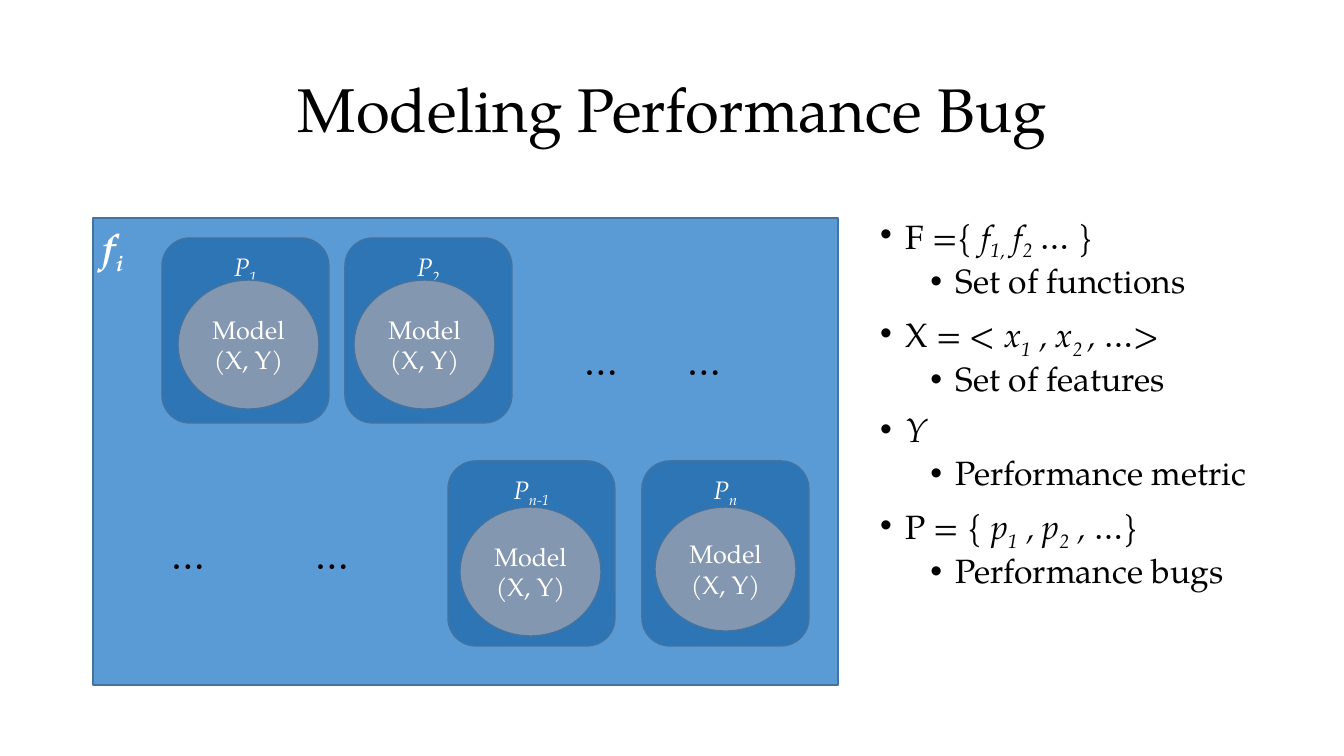
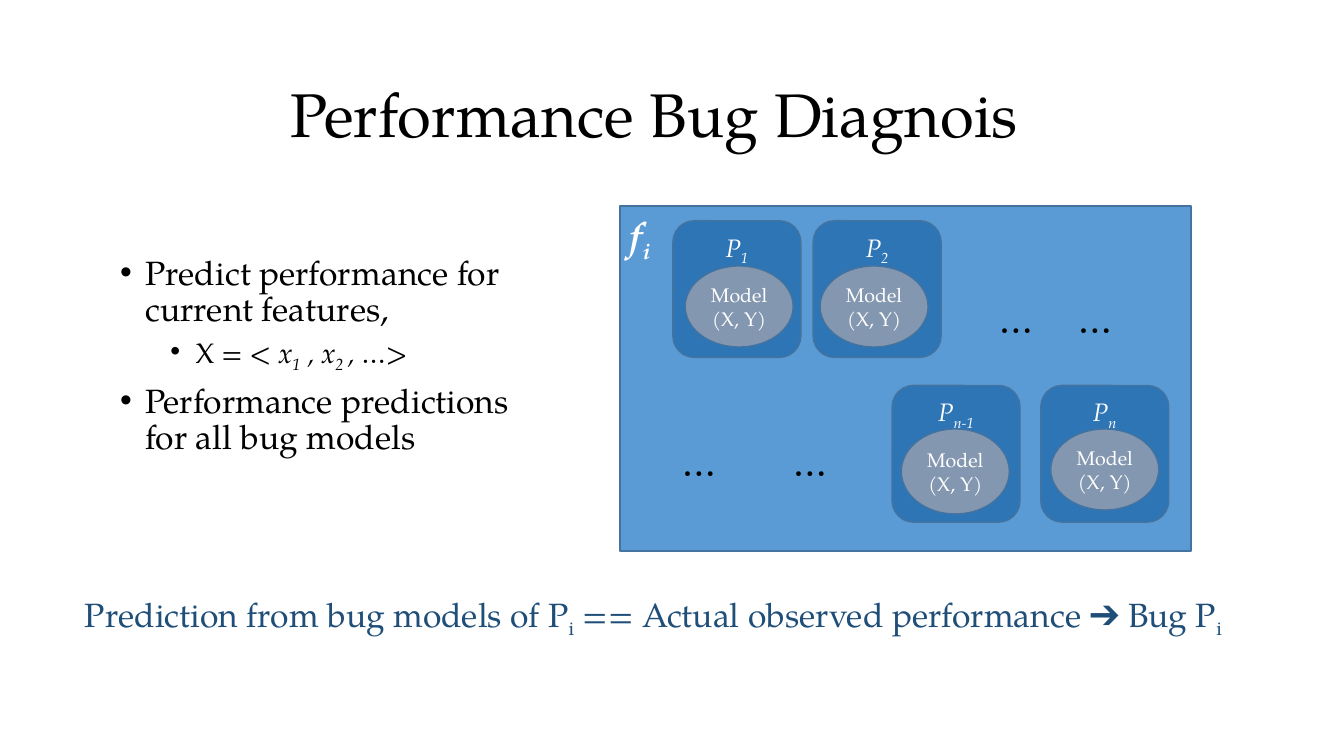
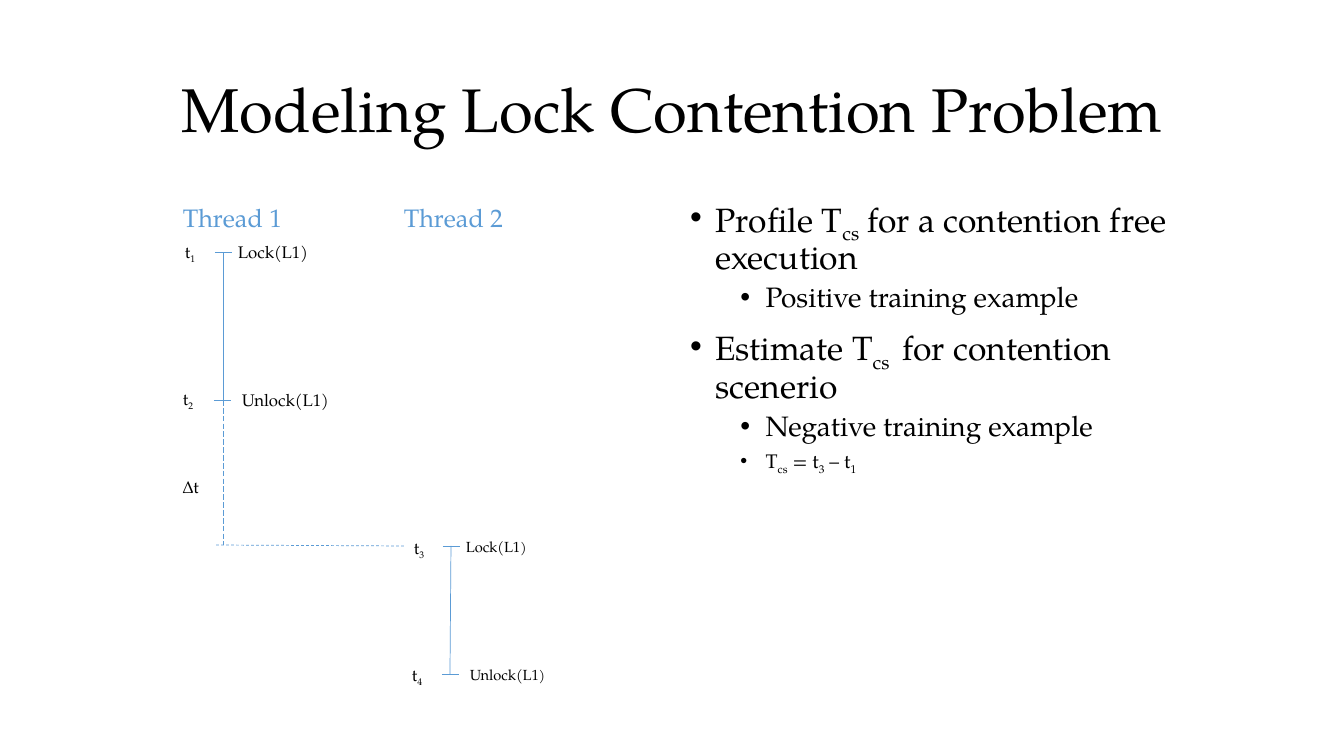
from dataclasses import dataclass
from typing import Any, NamedTuple, Optional

import lxml.etree
import pptx
import pptx.dml.color
import pptx.enum.dml
import pptx.enum.shapes
import pptx.enum.text
import pptx.oxml.ns
import pptx.shapes.base
import pptx.slide
import pptx.text.text
import pptx.util

PIXEL = 914400 / 100.8
FONT = "TeX Gyre Pagella"
BLACK, WHITE = "000000", "FFFFFF"
PANEL_BLUE, TILE_BLUE, MODEL_GRAY, OUTLINE = "5B9BD5", "2E75B6", "8497B0", "43739E"
CONCLUSION_BLUE = "1F4E79"

Align = pptx.enum.text.PP_ALIGN
Anchor = pptx.enum.text.MSO_ANCHOR
Preset = pptx.enum.shapes.MSO_SHAPE
Dash = pptx.enum.dml.MSO_LINE


class Box(NamedTuple):
    left: float
    top: float
    width: float
    height: float


class Run(NamedTuple):
    text: str
    italic: bool = False
    lowered: bool = False
    size: Optional[float] = None


Runs = list[Run]


@dataclass(frozen=True)
class Style:
    size: float
    color: str = BLACK
    align: Any = Align.LEFT
    bold: bool = False


@dataclass(frozen=True)
class Bullet:
    runs: Runs
    level: int = 0
    size: float = 24


@dataclass(frozen=True)
class Label:
    box: Box
    runs: Runs
    style: Style = Style(12)
    wrap: bool = True


@dataclass(frozen=True)
class Line:
    start: tuple[int, int]
    end: tuple[int, int]
    dash: Any = None


@dataclass(frozen=True)
class Tile:
    left: int
    row: int
    index: str
    model_left: int
    model_height: int


@dataclass(frozen=True)
class Diagram:
    panel: Box
    model_tops: tuple[int, int]
    model_size: float
    model_heights: tuple[int, int, int, int]


def emu(pixels: float) -> int:
    return round(pixels * PIXEL)


def rgb(value: str) -> pptx.dml.color.RGBColor:
    return pptx.dml.color.RGBColor.from_string(value)


def assign(target: Any, values: dict[str, Any]) -> None:
    for name, value in values.items():
        setattr(target, name, value)


def place(shape: pptx.shapes.base.BaseShape, box: Box) -> None:
    assign(shape, {name: emu(value) for name, value in box._asdict().items()})


def corners(box: Box) -> list[int]:
    return [emu(value) for value in box]


def plain(text: str) -> Runs:
    return [Run(text)]


def indexed(name: str, index: str, italic: bool = False) -> Runs:
    return [Run(name, italic), Run(index, italic, True)]


def write(paragraph: pptx.text.text._Paragraph, runs: Runs, style: Style) -> None:
    paragraph.alignment = style.align
    for piece in runs:
        for number, text in enumerate(piece.text.split("\n")):
            if number:
                paragraph.add_line_break()
            run = paragraph.add_run()
            run.text = text
            assign(run.font, {
                "name": FONT,
                "size": pptx.util.Pt(piece.size or style.size),
                "bold": style.bold,
                "italic": piece.italic,
            })
            run.font.color.rgb = rgb(style.color)
            if piece.lowered:
                run._r.get_or_add_rPr().set("baseline", "-25000")


def add_title(slide: pptx.slide.Slide, text: str, box: Box) -> None:
    title = slide.shapes.title
    place(title, box)
    assign(title.text_frame, {
        "vertical_anchor": Anchor.MIDDLE,
        "auto_size": pptx.enum.text.MSO_AUTO_SIZE.NONE,
    })
    paragraph = title.text_frame.paragraphs[0]
    paragraph.line_spacing = 0.9
    write(paragraph, plain(text), Style(44, align=Align.CENTER))


def add_bullets(slide: pptx.slide.Slide, box: Box, bullets: list[Bullet]) -> None:
    body = slide.placeholders[1]
    place(body, box)
    frame = body.text_frame
    frame.auto_size = pptx.enum.text.MSO_AUTO_SIZE.NONE
    for number, bullet in enumerate(bullets):
        paragraph = frame.add_paragraph() if number else frame.paragraphs[0]
        assign(paragraph, {
            "level": bullet.level,
            "line_spacing": 0.9,
            "space_before": pptx.util.Pt(5 if bullet.level else 10),
        })
        write(paragraph, bullet.runs, Style(bullet.size))
        properties = paragraph._p.get_or_add_pPr()
        properties.set("marL", str(pptx.util.Inches(0.25 + 0.5 * bullet.level)))
        properties.set("indent", str(pptx.util.Inches(-0.25)))
        for tag, name, value in (("a:buFont", "typeface", "Arial"), ("a:buChar", "char", "•")):
            lxml.etree.SubElement(properties, pptx.oxml.ns.qn(tag)).set(name, value)


def add_label(slide: pptx.slide.Slide, label: Label) -> None:
    text_box = slide.shapes.add_textbox(*corners(label.box))
    text_box.text_frame.word_wrap = label.wrap
    write(text_box.text_frame.paragraphs[0], label.runs, label.style)


def add_block(slide: pptx.slide.Slide, preset: Any, box: Box, fill: str,
              runs: Runs, style: Style, anchor: Any = Anchor.TOP) -> None:
    block = slide.shapes.add_shape(preset, *corners(box))
    block.shadow.inherit = False
    block.fill.solid()
    block.fill.fore_color.rgb = rgb(fill)
    block.line.color.rgb = rgb(OUTLINE)
    block.line.width = pptx.util.Pt(1)
    assign(block.text_frame, {"vertical_anchor": anchor, "word_wrap": True})
    write(block.text_frame.paragraphs[0], runs, style)


def add_line(slide: pptx.slide.Slide, line: Line) -> None:
    connector = slide.shapes.add_connector(
        pptx.enum.shapes.MSO_CONNECTOR.STRAIGHT,
        *(emu(value) for value in line.start + line.end),
    )
    connector.line.color.rgb = rgb(PANEL_BLUE)
    assign(connector.line, {"width": pptx.util.Pt(0.5), "dash_style": line.dash})
    lxml.etree.SubElement(connector._element.spPr, pptx.oxml.ns.qn("a:effectLst"))


BASE_WIDTH, BASE_HEIGHT = 745, 467
ROW_TOPS = (20, 243)
TILES = (
    Tile(69, 0, "1", 85, 0),
    Tile(252, 0, "2", 261, 1),
    Tile(355, 1, "n-1", 367, 2),
    Tile(549, 1, "n", 562, 3),
)
GAPS = ((482, 113), (585, 113), (69, 307), (213, 307))


def add_diagram(slide: pptx.slide.Slide, diagram: Diagram) -> None:
    panel = diagram.panel
    across, down = panel.width / BASE_WIDTH, panel.height / BASE_HEIGHT

    def x(offset: float) -> float:
        return panel.left + offset * across

    def y(offset: float) -> float:
        return panel.top + offset * down

    add_block(slide, Preset.RECTANGLE, panel, PANEL_BLUE, indexed("f", "i", True),
              Style(28, WHITE, bold=True))
    for tile in TILES:
        box = Box(x(tile.left), y(ROW_TOPS[tile.row]), 167 * across, 185 * down)
        add_block(slide, Preset.ROUNDED_RECTANGLE, box, TILE_BLUE,
                  indexed("P", tile.index, True), Style(18, WHITE, Align.CENTER))
    for left, top in GAPS:
        add_label(slide, Label(Box(x(left), y(top), 59, 57), plain("…"), Style(28), False))
    for tile in TILES:
        box = Box(x(tile.model_left), panel.top + diagram.model_tops[tile.row],
                  141 * across, diagram.model_heights[tile.model_height])
        add_block(slide, Preset.OVAL, box, MODEL_GRAY, plain("Model\n(X, Y)"),
                  Style(diagram.model_size, WHITE, Align.CENTER), Anchor.MIDDLE)


FEATURES = [
    Run("X = < "), *indexed("x", "1", True), Run(" , x", True),
    Run("2 ", True, True), Run(",", True), Run(" …>"),
]
TITLE_BOX = Box(93, 40, 1159, 146)


def build_modeling(slide: pptx.slide.Slide) -> None:
    add_title(slide, "Modeling Performance Bug", TITLE_BOX)
    functions = [Run("F ={ "), *indexed("f", "1,", True), *indexed(" f", "2", True),
                 Run(" … ", True), Run("}")]
    bugs = [Run("P = { "), *indexed("p", "1", True), *indexed(" , p", "2", True),
            Run(" , …", True), Run("}")]
    add_bullets(slide, Box(870, 211, 450, 480), [
        Bullet(functions),
        Bullet(plain("Set of functions"), 1),
        Bullet(FEATURES),
        Bullet(plain("Set of features"), 1),
        Bullet([Run("Y", True)]),
        Bullet(plain("Performance metric"), 1),
        Bullet(bugs),
        Bullet(plain("Performance bugs"), 1),
    ])
    add_diagram(slide, Diagram(Box(93, 218, BASE_WIDTH, BASE_HEIGHT), (62, 289), 18,
                               (129, 129, 129, 124)))


def build_diagnosis(slide: pptx.slide.Slide) -> None:
    add_title(slide, "Performance Bug Diagnois", TITLE_BOX._replace(left=75, top=45))
    add_bullets(slide, Box(110, 251, 450, 303), [
        Bullet(plain("Predict performance for current features,")),
        Bullet(FEATURES, 1, 20),
        Bullet(plain("Performance predictions for all bug models")),
    ])
    add_diagram(slide, Diagram(Box(620, 206, 571, 345), (60, 223), 14, (81, 81, 85, 81)))
    conclusion = [
        *indexed("Prediction from bug models of P", "i"),
        *indexed(" == Actual observed performance ➔ Bug P", "i"),
    ]
    add_label(slide, Label(Box(75, 589, 1170, 50), conclusion, Style(24, CONCLUSION_BLUE)))


def build_contention(slide: pptx.slide.Slide) -> None:
    lines = [
        Line((451, 546), (450, 674)),
        Line((223, 252), (223, 400)),
        Line((404, 546), (215, 545), Dash.DASH),
        Line((223, 400), (223, 545), Dash.LONG_DASH),
    ]
    for left, top in ((443, 546), (442, 674), (215, 252), (214, 400)):
        lines.append(Line((left, top), (left + 17, top)))
    for line in lines:
        add_line(slide, line)

    heading, small = Style(18, PANEL_BLUE), Style(10.5)
    labels = [
        Label(Box(456, 533, 106, 25), [Run("Lock(L1"), Run(")", size=9.8)], small),
        Label(Box(460, 661, 112, 26), [Run("Unlock(L1"), Run(")", size=9.8)], small),
        Label(Box(228, 237, 109, 29), plain("Lock(L1)")),
        Label(Box(232, 385, 115, 30), plain("Unlock(L1)")),
        Label(Box(173, 472, 37, 30), plain("Δt"), wrap=False),
    ]
    times = ((175, 237, 33), (173, 384, 35), (404, 533, 41), (402, 660, 36))
    for number, (left, top, width) in enumerate(times, 1):
        labels.append(Label(Box(left, top, width, 30), indexed("t", str(number))))
    for number, left in enumerate((173, 394), 1):
        labels.append(Label(Box(left, 197, 120, 40), plain(f"Thread {number}"), heading, False))
    for label in labels:
        add_label(slide, label)

    add_title(slide, "Modeling Lock Contention Problem", TITLE_BOX)
    add_bullets(slide, Box(680, 194, 572, 480), [
        Bullet([*indexed("Profile T", "cs"), Run(" for a contention free execution")]),
        Bullet(plain("Positive training example"), 1, 20),
        Bullet([*indexed("Estimate T", "cs "), Run(" for contention scenerio")]),
        Bullet(plain("Negative training example"), 1, 20),
        Bullet([*indexed("T", "cs"), *indexed(" = t", "3"), *indexed(" – t", "1")], 1, 14),
    ])


def main() -> None:
    presentation = pptx.Presentation()
    assign(presentation, {"slide_width": emu(1344), "slide_height": emu(756)})
    for build in (build_modeling, build_diagnosis, build_contention):
        build(presentation.slides.add_slide(presentation.slide_layouts[1]))
    presentation.save("out.pptx")


main()
